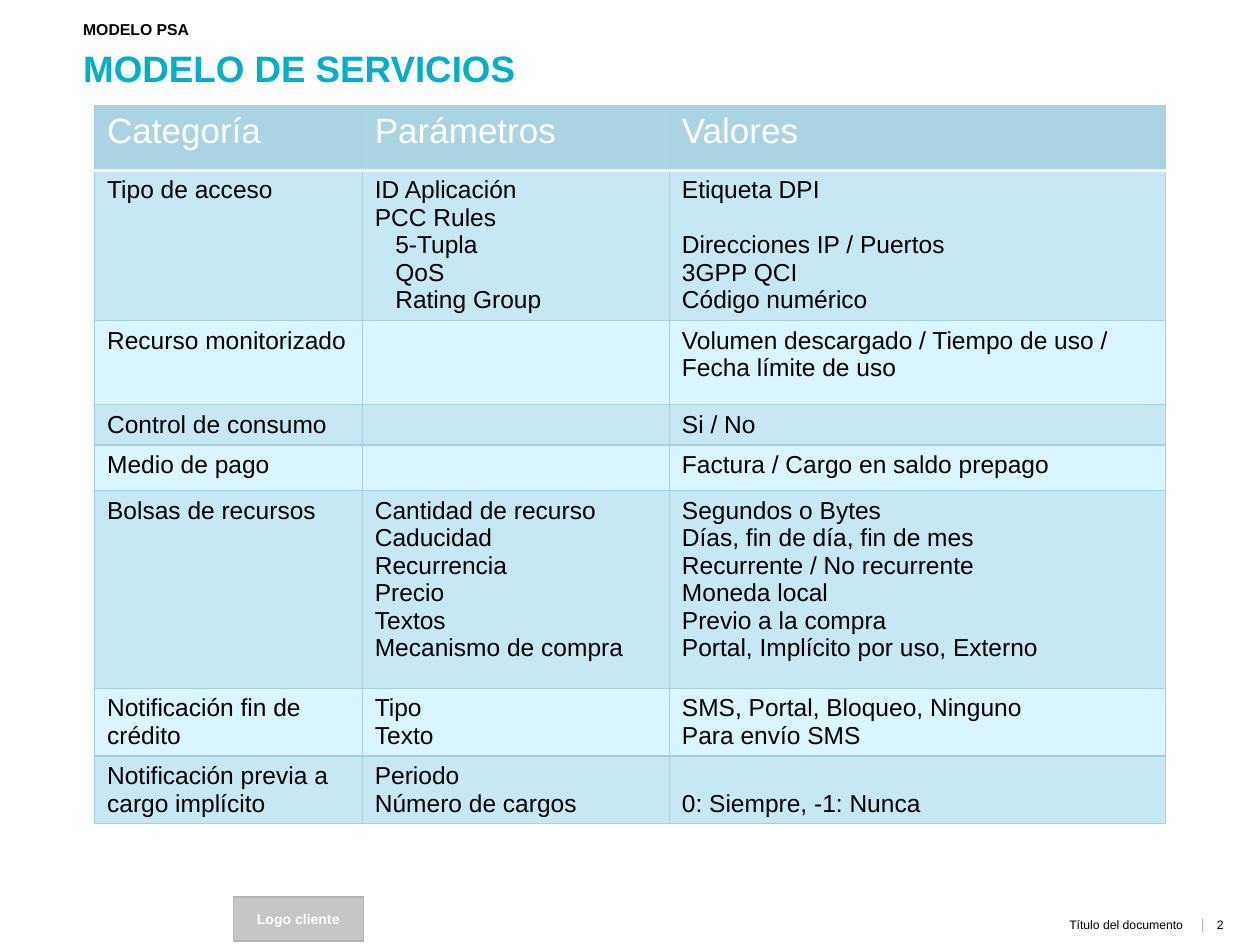
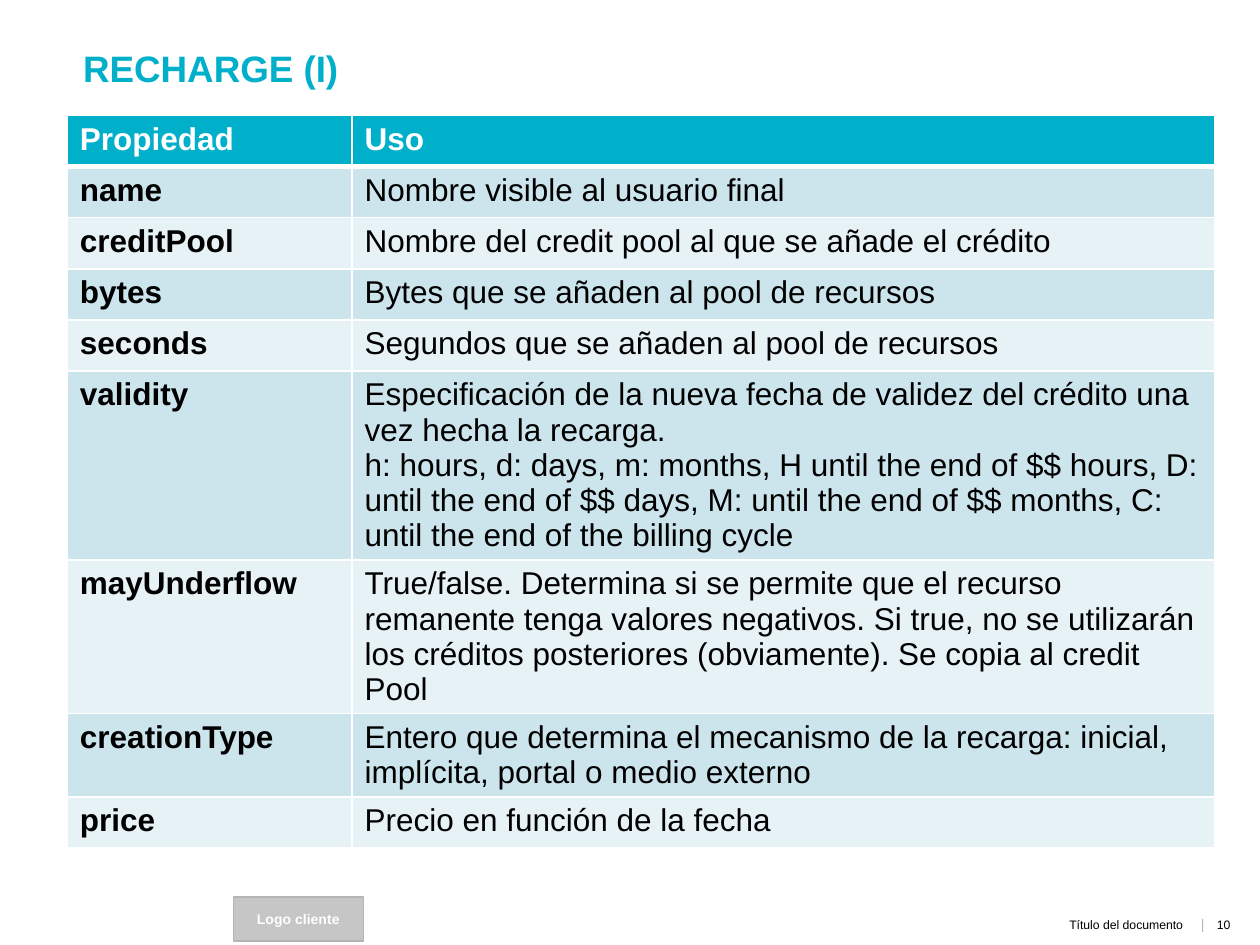
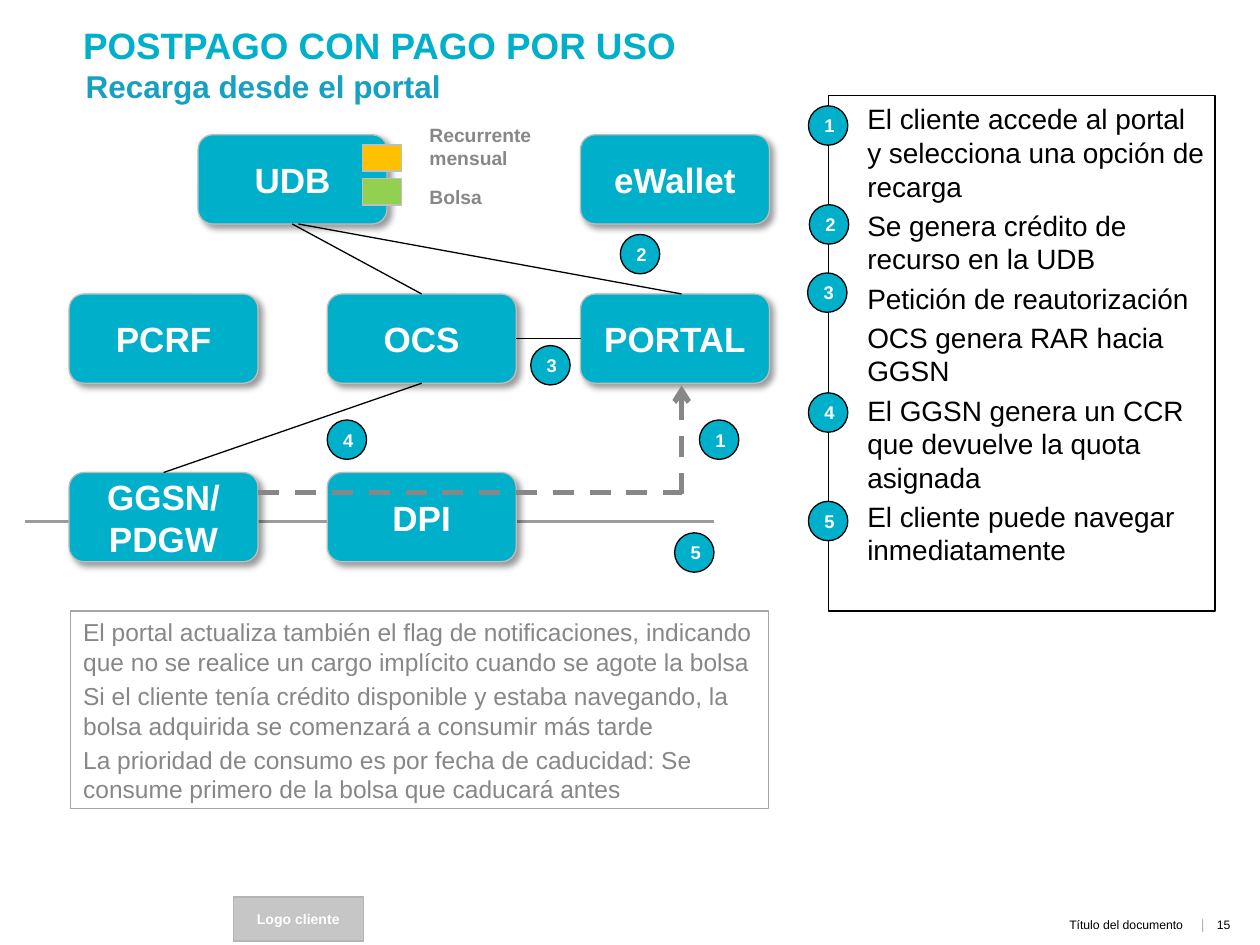
"""Builds three slides on a service model, a recharge and a payment flow."""
from lxml.etree import SubElement
from pptx import Presentation
from pptx.dml.color import RGBColor as Rgb
from pptx.enum.dml import MSO_LINE as Dash
from pptx.enum.shapes import MSO_CONNECTOR as Conn, MSO_SHAPE as Kind
from pptx.enum.text import MSO_ANCHOR as Anchor, MSO_AUTO_SIZE as Auto, PP_ALIGN as Align
from pptx.oxml import parse_xml
from pptx.oxml.ns import nsdecls, qn
from pptx.util import Pt

HUES = {
    "teal": "00B0CA", "sub": "17A0C1", "black": "000000", "white": "FFFFFF",
    "text": "878787", "axis": "9C9C9C", "edge": "BDBDBD", "frame": "A6A6A6",
    "logo": "C6C6C6", "rim": "B4B4B4", "bar": "B6B6B6",
    "head": "AAD4E1", "grid": "A5D0DD", "odd": "C6E8F3", "even": "D9F5FF",
    "dark": "CCE4EC", "light": "E7F2F6", "gold": "FFC000", "green": "92D050",
    "key": "BFBFBF",
}

MODEL = [
    ("Categoría", "Parámetros", "Valores"),
    ("Tipo de acceso",
     ["ID Aplicación", "PCC Rules", "5-Tupla", "QoS", "Rating Group"],
     ["Etiqueta DPI", "Direcciones IP / Puertos", "3GPP QCI", "Código numérico"]),
    ("Recurso monitorizado", "",
     "Volumen descargado / Tiempo de uso / Fecha límite de uso"),
    ("Control de consumo", "", "Si / No"),
    ("Medio de pago", "", "Factura / Cargo en saldo prepago"),
    ("Bolsas de recursos",
     ["Cantidad de recurso", "Caducidad", "Recurrencia", "Precio", "Textos",
      "Mecanismo de compra"],
     ["Segundos o Bytes", "Días, fin de día, fin de mes",
      "Recurrente / No recurrente", "Moneda local", "Previo a la compra",
      "Portal, Implícito por uso, Externo"]),
    ("Notificación fin de crédito", ["Tipo", "Texto"],
     ["SMS, Portal, Bloqueo, Ninguno", "Para envío SMS"]),
    ("Notificación previa a cargo implícito", ["Periodo", "Número de cargos"],
     "0: Siempre, -1: Nunca"),
]
USES = [
    ("Propiedad", "Uso"),
    ("name", "Nombre visible al usuario final"),
    ("creditPool", "Nombre del credit pool al que se añade el crédito"),
    ("bytes", "Bytes que se añaden al pool de recursos"),
    ("seconds", "Segundos que se añaden al pool de recursos"),
    ("validity",
     ["Especificación de la nueva fecha de validez del crédito una vez hecha la recarga.",
      "h: hours, d: days, m: months, H until the end of $$ hours, D: until the end "
      "of $$ days, M: until the end of $$ months, C: until the end of the billing cycle"]),
    ("mayUnderflow",
     "True/false. Determina si se permite que el recurso remanente tenga valores "
     "negativos. Si true, no se utilizarán los créditos posteriores (obviamente). "
     "Se copia al credit Pool"),
    ("creationType",
     "Entero que determina el mecanismo de la recarga: inicial, implícita, portal "
     "o medio externo"),
    ("price", "Precio en función de la fecha"),
]
NOTES = [
    "El portal actualiza también el flag de notificaciones, indicando que no se "
    "realice un cargo implícito cuando se agote la bolsa",
    "Si el cliente tenía crédito disponible y estaba navegando, la bolsa adquirida "
    "se comenzará a consumir más tarde",
    "La prioridad de consumo es por fecha de caducidad: Se consume primero de la "
    "bolsa que caducará antes",
]
STEPS = [
    "El cliente accede al portal y selecciona una opción de recarga",
    "Se genera crédito de recurso en la UDB",
    "Petición de reautorización",
    "OCS genera RAR hacia GGSN",
    "El GGSN genera un CCR que devuelve la quota asignada",
    "El cliente puede navegar inmediatamente",
]
COLS = (39.5, 187, 331.7)
ROWS = (77, 168, 270)
NODES = [
    ("PCRF", COLS[0], ROWS[1]), (["GGSN/", "PDGW"], COLS[0], ROWS[2]),
    ("DPI", COLS[1], ROWS[2]), ("UDB", 113.2, ROWS[0]),
    ("PORTAL", COLS[2], ROWS[1]), ("OCS", COLS[1], ROWS[1]),
    ("eWallet", COLS[2], ROWS[0]),
]
LINKS = [
    (389.5, 168, 170.5, 128), (332, 193.5, 295, 193.5),
    (241, 219, 93.5, 270), (241, 168, 167, 128),
]
MARKS = [
    ("1", 462, 60.5), ("2", 462.5, 117), ("3", 461.5, 156), ("4", 462, 224.5),
    ("5", 462, 286.5), ("1", 399.7, 240), ("2", 354.5, 134), ("5", 385.5, 304.5),
    ("3", 303.3, 197.5), ("4", 187, 240),
]
KEYS = [("gold", 82.8, "Recurrente mensual", 67), ("green", 102.2, "Bolsa", 102.2)]


def rgb(name):
    return Rgb.from_string(HUES[name])


def write(frame, text, size=14, hue="black", bold=False, align=Align.LEFT, gap=0):
    lines = [text] if isinstance(text, str) else text
    for i, line in enumerate(lines):
        para = frame.paragraphs[0] if i == 0 else frame.add_paragraph()
        para.alignment, para.space_before, para.line_spacing = align, Pt(gap), 1.0
        if not line:
            mark = SubElement(para._p, qn("a:endParaRPr"), sz=str(size * 100))
            SubElement(mark, qn("a:latin"), typeface="Arial")
            continue
        run = para.add_run()
        run.text = line
        font = run.font
        font.name, font.size, font.bold = "Arial", Pt(size), bold
        font.color.rgb = rgb(hue)


def fit(frame, anchor=Anchor.TOP, inset=(7.2, 3.6, 7.2, 3.6), wrap=True):
    frame.word_wrap, frame.auto_size = wrap, Auto.NONE
    frame.vertical_anchor = anchor
    (frame.margin_left, frame.margin_top,
     frame.margin_right, frame.margin_bottom) = map(Pt, inset)
    return frame


def label(slide, text, box, anchor=Anchor.TOP, inset=(7.2, 3.6, 7.2, 3.6),
          wrap=True, **style):
    shape = slide.shapes.add_textbox(*map(Pt, box))
    write(fit(shape.text_frame, anchor, inset, wrap), text, **style)


def block(slide, kind, box, fill, edge):
    shape = slide.shapes.add_shape(kind, *map(Pt, box))
    shape.shadow.inherit = False
    if fill:
        shape.fill.solid()
        shape.fill.fore_color.rgb = rgb(fill)
    else:
        shape.fill.background()
    shape.line.color.rgb, shape.line.width = rgb(edge), Pt(0.75)
    return shape


def link(slide, ends, hue="black", width=0.75, dash=False, arrow=False):
    line = slide.shapes.add_connector(Conn.STRAIGHT, *map(Pt, ends))
    line.line.color.rgb, line.line.width = rgb(hue), Pt(width)
    if dash:
        line.line.dash_style = Dash.DASH
    if arrow:
        SubElement(line.line._ln, qn("a:tailEnd"), type="arrow")
    SubElement(line._element.spPr, qn("a:effectLst"))


def place(shape, box):
    shape.left, shape.top, shape.width, shape.height = map(Pt, box)


def body(slide, text, box, anchor=Anchor.TOP, **style):
    shape = slide.placeholders[1]
    place(shape, box)
    write(fit(shape.text_frame, anchor), text, **style)
    for para in shape.text_frame.paragraphs:
        props = para._p.get_or_add_pPr()
        props.set("marL", "0")
        props.set("indent", "0")
        SubElement(props, qn("a:buNone"))
    return shape


def start(deck, layout, title, page, top=22.3, high=93):
    slide = deck.slides.add_slide(deck.slide_layouts[layout])
    place(slide.shapes.title, (40.3, top, 654.5, high))
    write(fit(slide.shapes.title.text_frame), title, size=21, hue="teal", bold=True)
    flat = dict(anchor=Anchor.MIDDLE, inset=(0, 0, 0, 0), align=Align.RIGHT)
    label(slide, "Título del documento", (245.5, 522.7, 430.5, 11.5), size=7, **flat)
    label(slide, page, (688.3, 520.6, 67.7, 17.3), size=7)
    label(slide, "|", (682.5, 522, 5.8, 11.5), size=8, hue="bar", **flat)
    logo = block(slide, Kind.RECTANGLE, (133.4, 512.6, 74.2, 25.2), "logo", "rim")
    write(fit(logo.text_frame, Anchor.MIDDLE), "Logo cliente", size=8,
          hue="white", bold=True, align=Align.CENTER)
    return slide


def paint(cell, fill, edges):
    cell.fill.solid()
    cell.fill.fore_color.rgb = rgb(fill)
    props = cell._tc.get_or_add_tcPr()
    for i, (side, (hue, width)) in enumerate(zip("LRTB", edges)):
        props.insert(i, parse_xml(
            f'<a:ln{side} {nsdecls("a")} w="{int(Pt(width))}"><a:solidFill>'
            f'<a:srgbClr val="{HUES[hue]}"/></a:solidFill></a:ln{side}>'))


def table(slide, data, spot, wide, high, fills, edge, rule, size, top, bold=False):
    shape = slide.shapes.add_table(len(data), len(wide), *map(Pt, spot),
                                   Pt(sum(wide)), Pt(sum(high)))
    grid = shape.table
    grid.first_row = grid.horz_banding = False
    for col, width in zip(grid.columns, wide):
        col.width = Pt(width)
    for r, line in enumerate(data):
        grid.rows[r].height = Pt(high[r])
        head = r == 0
        fill = fills[0] if head else fills[2 - r % 2]
        edges = [edge, edge, rule if r == 1 else edge, rule if head else edge]
        for c, text in enumerate(line):
            cell = grid.cell(r, c)
            write(cell.text_frame, text, size=top if head else size,
                  hue="white" if head else "black",
                  bold=bold and (head or c == 0))
            paint(cell, fill, edges)
    return grid


def model(deck):
    slide = start(deck, 1, "MODELO DE SERVICIOS", "2")
    body(slide, "MODELO PSA", (40.3, 9.4, 653.8, 15.1), Anchor.MIDDLE,
         size=9, bold=True, gap=2)
    grid = table(slide, MODEL, (54, 60.3), (153, 175.5, 283.5),
                 (37, 68.4, 48.2, 21.6, 26, 113, 34.6, 34.6),
                 ("head", "odd", "even"), ("grid", 0.75), ("white", 2), 14, 20)
    for para in grid.cell(1, 1).text_frame.paragraphs[2:]:
        para._p.get_or_add_pPr().set("marL", str(int(Pt(11.7))))
    grid.cell(1, 2).text_frame.paragraphs[1].space_before = Pt(15.7)
    grid.cell(7, 2).vertical_anchor = Anchor.BOTTOM


def recharge(deck):
    slide = start(deck, 5, "RECHARGE (I)", "10")
    table(slide, USES, (38.5, 66), (162.7, 493.2), [29.2] * len(USES),
          ("teal", "dark", "light"), ("white", 1), ("white", 3), 18, 18, bold=True)


def flow(deck):
    slide = start(deck, 1, "POSTPAGO CON PAGO POR USO", "15", 9.4, 31.7)
    link(slide, (14.4, 298, 408, 298), "axis", 2.25)
    note = body(slide, NOTES, (40.3, 349.2, 399, 113), hue="text", gap=2.8)
    note.line.color.rgb, note.line.width = rgb("frame"), Pt(0.75)
    panel = block(slide, Kind.RECTANGLE, (473.3, 54.7, 221, 294.5), None, "black")
    write(fit(panel.text_frame, inset=(22.3, 3.6, 5.8, 3.6)), STEPS, size=16, gap=3.2)
    label(slide, "Recarga desde el portal", (41.8, 34.6, 219.6, 28.8),
          wrap=False, size=18, hue="sub", bold=True)
    for name, left, top in NODES:
        node = block(slide, Kind.ROUNDED_RECTANGLE, (left, top, 108, 51), "teal", "edge")
        glow = SubElement(node._element.spPr.find(qn("a:effectLst")),
                          qn("a:outerShdw"), blurRad="50800", dist="38100",
                          dir="2700000", algn="tl", rotWithShape="0")
        tint = SubElement(glow, qn("a:srgbClr"), val=HUES["black"])
        SubElement(tint, qn("a:alpha"), val="40000")
        write(fit(node.text_frame, Anchor.MIDDLE), name, size=20, hue="white",
              bold=True, align=Align.CENTER)
    for ends in LINKS:
        link(slide, ends)
    link(slide, (147.6, 281.5, 389.5, 281.5), "text", 3, dash=True)
    link(slide, (389.5, 282.2, 389.5, 220.3), "text", 3, dash=True, arrow=True)
    for digit, left, top in MARKS:
        mark = block(slide, Kind.OVAL, (left, top, 22.5, 22.5), "teal", "black")
        write(fit(mark.text_frame, Anchor.MIDDLE, (1.5, 0, 0, 0), False), digit,
              size=10.5, hue="white", bold=True, align=Align.CENTER)
    for hue, top, text, high in KEYS:
        block(slide, Kind.RECTANGLE, (207, top, 22.5, 15), hue, "key")
        label(slide, text, (238.3, high, 93.6, 34), size=11, hue="text", bold=True)


def main():
    deck = Presentation()
    deck.slide_width, deck.slide_height = Pt(720), Pt(540)
    model(deck)
    recharge(deck)
    flow(deck)
    deck.save("out.pptx")


if __name__ == "__main__":
    main()
